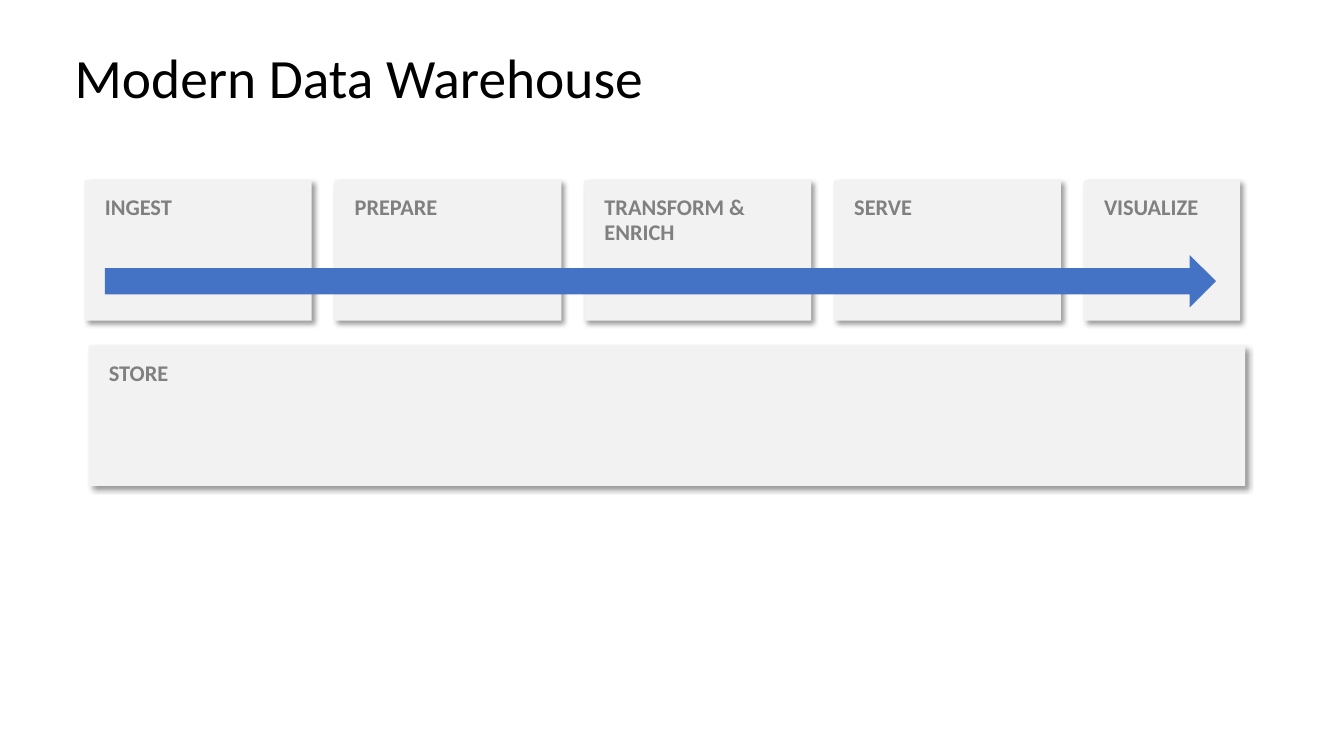
from lxml import etree
from pptx import Presentation
from pptx.dml.color import RGBColor
from pptx.enum.shapes import MSO_SHAPE
from pptx.enum.text import MSO_ANCHOR, PP_ALIGN
from pptx.oxml.ns import qn
from pptx.util import Inches, Pt

RECTANGLE, RIGHT_ARROW = MSO_SHAPE.RECTANGLE, MSO_SHAPE.RIGHT_ARROW
TOP, MIDDLE = MSO_ANCHOR.TOP, MSO_ANCHOR.MIDDLE
LEFT = PP_ALIGN.LEFT

TITLE = "Modern Data Warehouse"
STAGES = [  # label, width
    ("INGEST", 2.25),
    ("PREPARE", 2.25),
    ("TRANSFORM & ENRICH", 2.25),
    ("SERVE", 2.25),
    ("VISUALIZE", 1.55),
]
STORE = "STORE"

FONT = "Calibri"
COLORS = {"panel": "F2F2F2", "label": "808080", "title": "000000",
          "arrow": "4472C4", "shadow": "000000"}

PAGE_WIDTH, PAGE_HEIGHT = 13.33, 7.5
ROW_LEFT, ROW_RIGHT, ROW_TOP = 0.84, 12.3, 1.79
PANEL_HEIGHT = 1.39
STORE_BOX = (0.88, 3.43, 11.47, PANEL_HEIGHT)
TITLE_BOX = (0.64, 0.5, 12.05, 0.59)
ARROW_BOX = (1.04, 2.53, 11.02, 0.52)


def write(shape, text, *, size, color, bold=False, anchor=TOP, margins=(0.1, 0.05)):
    frame = shape.text_frame
    frame.word_wrap = True
    frame.vertical_anchor = anchor
    frame.margin_left = frame.margin_right = Inches(margins[0])
    frame.margin_top = frame.margin_bottom = Inches(margins[1])
    para = frame.paragraphs[0]
    para.alignment = LEFT
    para.line_spacing = 0.9
    span = para.add_run()
    span.text = text
    span.font.name = FONT
    span.font.size = Pt(size)
    span.font.bold = bold
    span.font.color.rgb = RGBColor.from_string(COLORS[color])


def add_block(page, kind, box, color):
    """Add a filled shape with neither outline nor shadow."""
    block = page.shapes.add_shape(kind, *map(Inches, box))
    block.shadow.inherit = False
    block.fill.solid()
    block.fill.fore_color.rgb = RGBColor.from_string(COLORS[color])
    block.line.fill.background()
    return block


def cast_shadow(shape, blur=4, distance=3, angle=45, opacity=40):
    effects = shape._element.spPr.find(qn("a:effectLst"))
    shadow = etree.SubElement(
        effects, qn("a:outerShdw"), blurRad=str(Pt(blur)), dist=str(Pt(distance)),
        dir=str(angle * 60000), algn="tl", rotWithShape="0")
    color = etree.SubElement(shadow, qn("a:srgbClr"), val=COLORS["shadow"])
    etree.SubElement(color, qn("a:alpha"), val=str(opacity * 1000))


def add_panel(page, label, box):
    panel = add_block(page, RECTANGLE, box, "panel")
    cast_shadow(panel)
    write(panel, label, size=16, color="label", bold=True, margins=(0.2, 0.16))


def main():
    deck = Presentation()
    deck.slide_width, deck.slide_height = Inches(PAGE_WIDTH), Inches(PAGE_HEIGHT)
    page = deck.slides.add_slide(deck.slide_layouts.get_by_name("Title Only"))

    title = page.shapes.title
    title.left, title.top, title.width, title.height = map(Inches, TITLE_BOX)
    write(title, TITLE, size=39.6, color="title", anchor=MIDDLE)

    add_panel(page, STORE, STORE_BOX)
    free_width = ROW_RIGHT - ROW_LEFT - sum(width for _, width in STAGES)
    gap = free_width / (len(STAGES) - 1)
    left = ROW_LEFT
    for label, width in STAGES:
        add_panel(page, label, (left, ROW_TOP, width, PANEL_HEIGHT))
        left += width + gap

    add_block(page, RIGHT_ARROW, ARROW_BOX, "arrow")
    deck.save("out.pptx")


if __name__ == "__main__":
    main()
